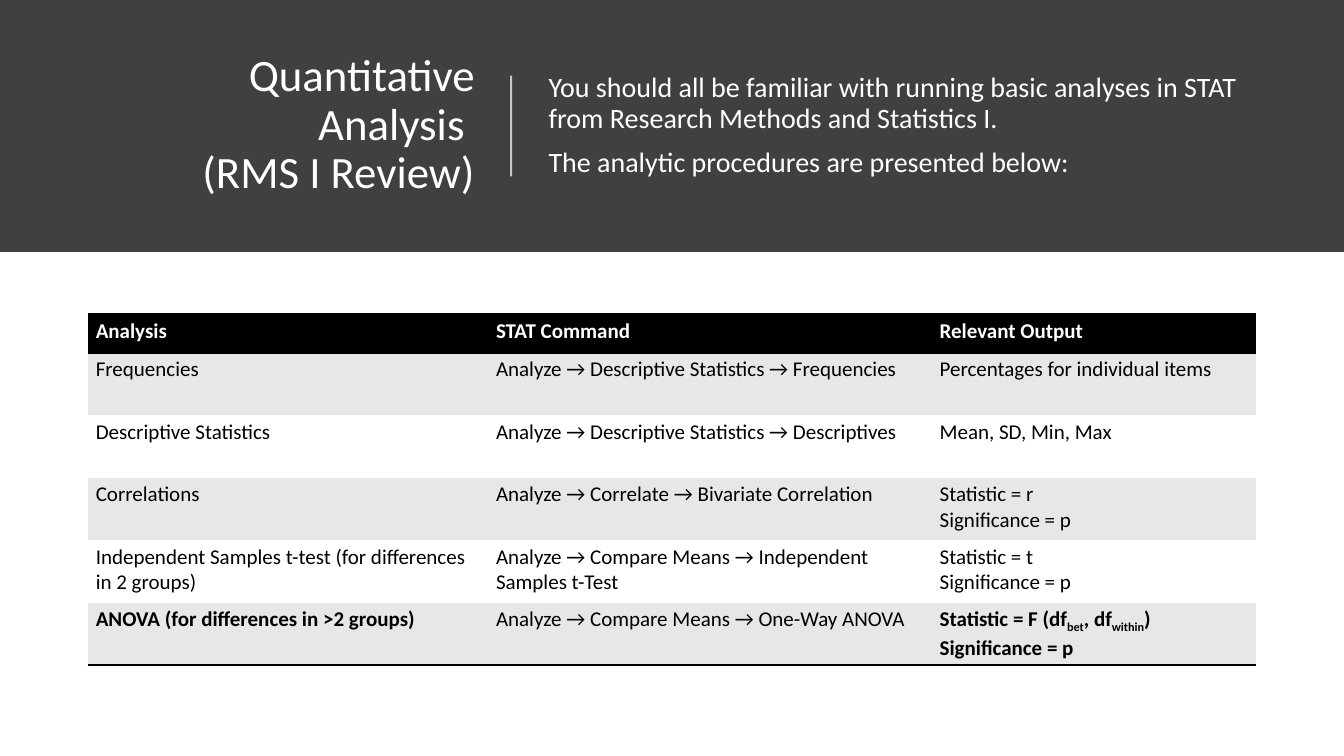
import pptx
import pptx.dml.color
import pptx.enum.shapes
import pptx.enum.text
import pptx.oxml
import pptx.oxml.ns
import pptx.util

WIDTH, HEIGHT = 13.33, 7.5
MARGIN = 0.87
BAND_HEIGHT = HEIGHT / 3
WHITE, BLACK, CHARCOAL, PALE = "FFFFFF", "000000", "404040", "E7E7E7"
Inches, Pt = pptx.util.Inches, pptx.util.Pt
color = pptx.dml.color.RGBColor.from_string


def style(run, size, hue, bold=False):
    run.font.name = "Calibri"
    run.font.size = Pt(size)
    run.font.bold = bold
    run.font.color.rgb = color(hue)


def place(part, left, top, width, height):
    part.left, part.top = Inches(left), Inches(top)
    part.width, part.height = Inches(width), Inches(height)
    part.text_frame.word_wrap = True
    part.text_frame.auto_size = pptx.enum.text.MSO_AUTO_SIZE.NONE
    part.text_frame.vertical_anchor = pptx.enum.text.MSO_ANCHOR.MIDDLE


deck = pptx.Presentation()
deck.slide_width, deck.slide_height = Inches(WIDTH), Inches(HEIGHT)
slide = deck.slides.add_slide(deck.slide_layouts[1])
shapes = slide.shapes

band = shapes.add_shape(
    pptx.enum.shapes.MSO_SHAPE.RECTANGLE, 0, 0, deck.slide_width, Inches(BAND_HEIGHT)
)
band.shadow.inherit = False
band.fill.solid()
band.fill.fore_color.rgb = color(CHARCOAL)
band.line.fill.background()
shapes._spTree.insert(2, band._element)

heading = shapes.title
place(heading, MARGIN, 0.52, 3.94, 1.45)
heading.text_frame.text = "Quantitative Analysis \v(RMS I Review)"
heading_line = heading.text_frame.paragraphs[0]
heading_line.alignment = pptx.enum.text.PP_ALIGN.RIGHT
heading_line.line_spacing = 0.9
for run in heading_line.runs:
    style(run, 32, WHITE)

intro = slide.placeholders[1]
place(intro, 5.34, 0.45, 7.12, 1.6)
intro.text_frame.text = (
    "You should all be familiar with running basic analyses in STAT "
    "from Research Methods and Statistics I.\n"
    "The analytic procedures are presented below:"
)
for paragraph in intro.text_frame.paragraphs:
    paragraph.line_spacing = 0.9
    paragraph.space_before = Pt(10)
    properties = paragraph._p.get_or_add_pPr()
    properties.set("marL", "0")
    properties.set("indent", "0")
    pptx.oxml.ns
    properties.append(pptx.oxml.parse_xml(
        f'<a:buNone {pptx.oxml.ns.nsdecls("a")}/>'))
    style(paragraph.runs[0], 20, WHITE)

divider = shapes.add_connector(
    pptx.enum.shapes.MSO_CONNECTOR.STRAIGHT,
    Inches(5.07), Inches(1.75), Inches(5.07), Inches(0.75),
)
divider.line.width = Pt(1.5)
divider.line.color.rgb = color(WHITE)
ns = pptx.oxml.ns.nsdecls("a")
divider_color = divider._element.spPr.find(".//" + pptx.oxml.ns.qn("a:srgbClr"))
divider_color.append(pptx.oxml.parse_xml(f'<a:alpha {ns} val="70000"/>'))
divider._element.spPr.append(pptx.oxml.parse_xml(f"<a:effectLst {ns}/>"))

analyses = [
    ("Analysis", "STAT Command", "Relevant Output"),
    ("Frequencies", "Analyze → Descriptive Statistics → Frequencies",
     "Percentages for individual items"),
    ("Descriptive Statistics", "Analyze → Descriptive Statistics → Descriptives",
     "Mean, SD, Min, Max"),
    ("Correlations", "Analyze → Correlate → Bivariate Correlation",
     "Statistic = r\nSignificance = p"),
    ("Independent Samples t-test (for differences in 2 groups)",
     "Analyze → Compare Means → Independent Samples t-Test",
     "Statistic = t\nSignificance = p"),
    ("ANOVA (for differences in >2 groups)",
     "Analyze → Compare Means → One-Way ANOVA",
     "Statistic = F (df_bet_, df_within_)\nSignificance = p"),
]
column_widths = [3.97, 4.4, 3.22]
row_heights = [0.38] + [0.62] * 5
last = len(analyses) - 1

procedures_frame = shapes.add_table(
    len(analyses), len(column_widths), Inches(MARGIN), Inches(3.12),
    Inches(sum(column_widths)), Inches(sum(row_heights)),
)
procedures = procedures_frame.table
procedures._tbl.tblPr.find(pptx.oxml.ns.qn("a:tableStyleId")).text = (
    "{2D5ABB26-0587-4C30-8999-92F81FD0307C}"
)
for column, width in zip(procedures.columns, column_widths):
    column.width = Inches(width)

for r, (analysis, height) in enumerate(zip(analyses, row_heights)):
    procedures.rows[r].height = Inches(height)
    fill = BLACK if r == 0 else PALE if r % 2 else WHITE
    borders = {0: ["lnB", "lnT"], last: ["lnB"]}.get(r, [])
    for c, words in enumerate(analysis):
        cell = procedures.cell(r, c)
        cell.margin_left = cell.margin_right = Inches(0.08)
        cell.margin_top = cell.margin_bottom = Inches(0.04)
        cell.fill.solid()
        cell.fill.fore_color.rgb = color(fill)
        for side in borders:
            cell._tc.get_or_add_tcPr().insert(0, pptx.oxml.parse_xml(
                f'<a:{side} {ns} w="25400"><a:solidFill><a:srgbClr val="{BLACK}"/>'
                f"</a:solidFill></a:{side}>"))
        bold = r == 0 or (r == last and c != 1)
        cell.text_frame.text = words.replace("_", "")
        for paragraph, line in zip(cell.text_frame.paragraphs, words.split("\n")):
            pieces = line.split("_")
            paragraph.runs[0].text = pieces[0]
            for piece in pieces[1:]:
                paragraph.add_run().text = piece
            for i, run in enumerate(paragraph.runs):
                style(run, 15, WHITE if r == 0 else BLACK, bold)
                if i % 2:
                    run.font._element.set("baseline", "-25000")

deck.save("out.pptx")
